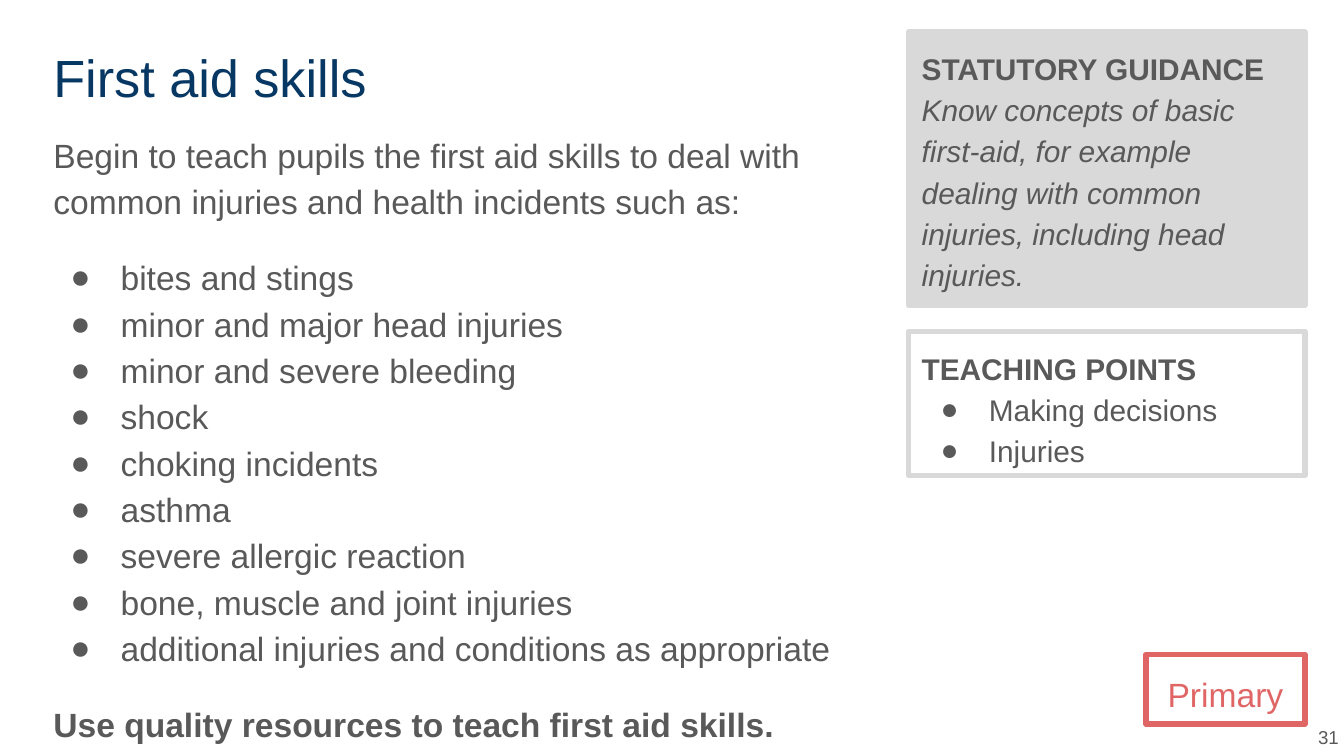
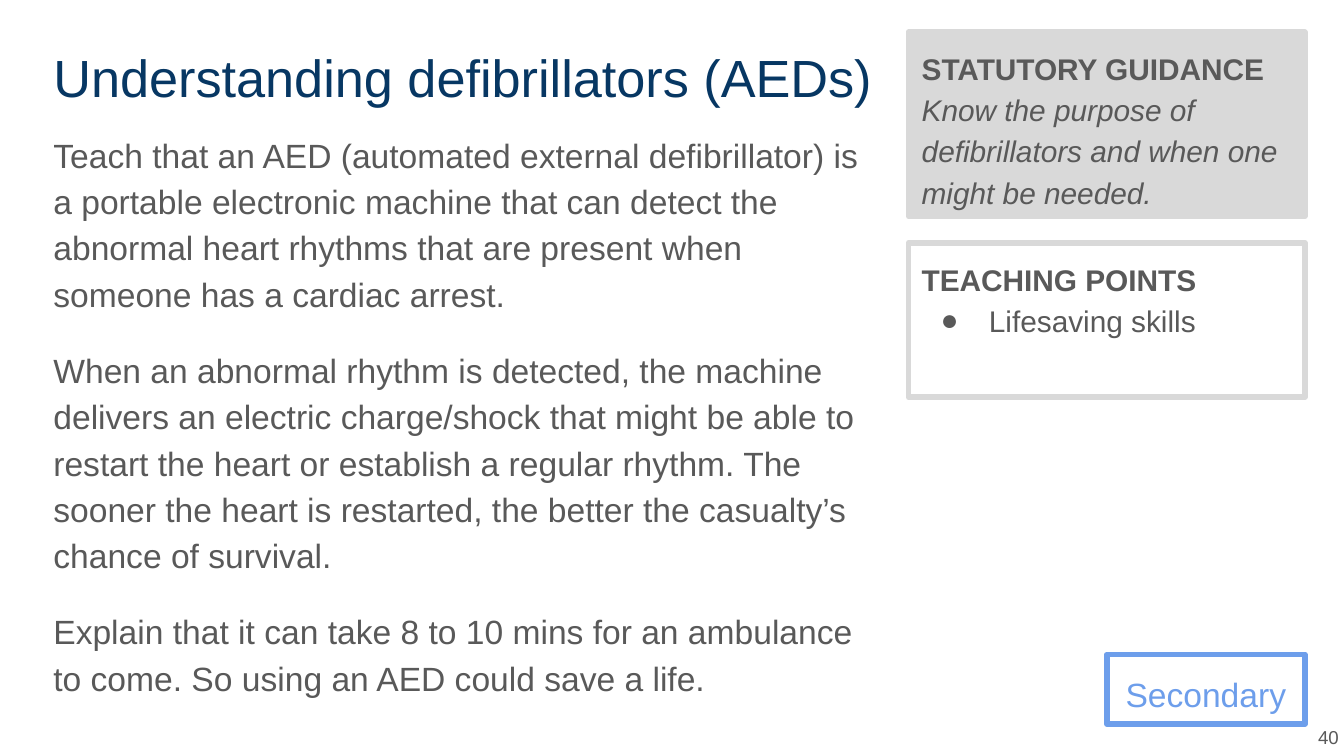
from lxml import etree
from pptx import Presentation
from pptx.dml.color import RGBColor
from pptx.enum.shapes import MSO_SHAPE
from pptx.enum.text import MSO_ANCHOR, PP_ALIGN
from pptx.oxml.ns import qn
from pptx.util import Cm, Pt

RECTANGLE = MSO_SHAPE.RECTANGLE
TOP, MIDDLE = MSO_ANCHOR.TOP, MSO_ANCHOR.MIDDLE
LEFT, CENTER, RIGHT = PP_ALIGN.LEFT, PP_ALIGN.CENTER, PP_ALIGN.RIGHT

FONT = "Arial"
NAVY, GREY, PALE = "073763", "595959", "D9D9D9"
RED, BLUE = "E06666", "6D9EEB"

SLIDES = [
    {
        "title": "First aid skills",
        "body": [
            ("text", "Begin to teach pupils the first aid skills to deal with "
                     "common injuries and health incidents such as:"),
            ("bullets", [
                "bites and stings",
                "minor and major head injuries",
                "minor and severe bleeding",
                "shock",
                "choking incidents",
                "asthma",
                "severe allergic reaction",
                "bone, muscle and joint injuries",
                "additional injuries and conditions as appropriate",
            ]),
            ("bold", "Use quality resources to teach first aid skills."),
        ],
        "guidance": "Know concepts of basic first-aid, for example dealing with "
                    "common injuries, including head injuries.",
        "guidance_height": 5.16,
        "points": ["Making decisions", "Injuries"],
        "points_height": 2.72,
        "stage": ("Primary", RED, 3.0),
        "number": "31",
    },
    {
        "title": "Understanding defibrillators (AEDs)",
        "body": [
            ("text", "Teach that an AED (automated external defibrillator) is a "
                     "portable electronic machine that can detect the abnormal heart "
                     "rhythms that are present when someone has a cardiac arrest."),
            ("text", "When an abnormal rhythm is detected, the machine delivers an "
                     "electric charge/shock that might be able to restart the heart or "
                     "establish a regular rhythm. The sooner the heart is restarted, "
                     "the better the casualty’s chance of survival."),
            ("text", "Explain that it can take 8 to 10 mins for an ambulance to come. "
                     "So using an AED could save a life."),
        ],
        "guidance": "Know the purpose of defibrillators and when one might be needed.",
        "guidance_height": 3.48,
        "points": ["Lifesaving skills"],
        "points_height": 2.92,
        "stage": ("Secondary", BLUE, 3.74),
        "number": "40",
    },
]

MARGIN, TOP_EDGE = 0.76, 0.61
PANEL_WIDTH, PANEL_RIGHT, PANEL_GAP = 7.49, 24.66, 0.5
PANEL_LEFT = PANEL_RIGHT - PANEL_WIDTH
TAG_TOP, TAG_HEIGHT = 12.37, 1.32
BULLET_MARGIN, BODY_HANG, POINT_HANG = 1.27, 0.95, 0.91


def rgb(color):
    return RGBColor.from_string(color)


def add_bullet(paragraph, hang, color):
    properties = paragraph._p.get_or_add_pPr()
    properties.set("marL", str(Cm(BULLET_MARGIN)))
    properties.set("indent", str(-Cm(hang)))
    bullet_color = etree.SubElement(properties, qn("a:buClr"))
    etree.SubElement(bullet_color, qn("a:srgbClr"), val=color)
    etree.SubElement(properties, qn("a:buFont"), typeface=FONT)
    etree.SubElement(properties, qn("a:buChar"), char="●")


def add_text(frame, text, size=18, color=GREY, bold=False, italic=False,
             align=LEFT, spacing=1.15, before=0, hang=None, heading=None):
    first = frame.paragraphs[0]
    paragraph = frame.add_paragraph() if first.runs else first
    if hang:
        add_bullet(paragraph, hang, color)
    paragraph.alignment = align
    paragraph.line_spacing = spacing
    paragraph.space_before = Pt(before)
    runs = [(text, bold, italic)]
    if heading:
        runs.insert(0, (heading, True, False))
    for index, (words, is_bold, is_italic) in enumerate(runs):
        if index:
            paragraph.add_line_break()
        run = paragraph.add_run()
        run.text = words
        run.font.name = FONT
        run.font.size = Pt(size)
        run.font.bold = is_bold
        run.font.italic = is_italic
        run.font.color.rgb = rgb(color)


def prepare_frame(shape, anchor=TOP):
    frame = shape.text_frame
    frame.word_wrap = True
    frame.vertical_anchor = anchor
    frame.margin_left = frame.margin_right = Cm(0.25)
    frame.margin_top = frame.margin_bottom = Cm(0.25)
    return frame


def add_box(slide, left, top, width, height, anchor=TOP):
    shape = slide.shapes.add_textbox(Cm(left), Cm(top), Cm(width), Cm(height))
    return prepare_frame(shape, anchor)


def add_panel(slide, left, top, width, height, line, fill=None):
    shape = slide.shapes.add_shape(RECTANGLE, Cm(left), Cm(top), Cm(width), Cm(height))
    shape.shadow.inherit = False
    if fill:
        shape.fill.solid()
        shape.fill.fore_color.rgb = rgb(fill)
    else:
        shape.fill.background()
    shape.line.color.rgb = rgb(line)
    shape.line.width = Pt(3)
    return prepare_frame(shape)


def add_body(slide, blocks):
    frame = add_box(slide, MARGIN, 2.18, 16.05, 11.56)
    for index, (kind, content) in enumerate(blocks):
        before = 16 if index else 0
        if kind == "bullets":
            for position, item in enumerate(content):
                add_text(frame, item, hang=BODY_HANG, before=0 if position else before)
        else:
            add_text(frame, content, bold=kind == "bold", before=before)


def add_side_panels(slide, content):
    height = content["guidance_height"]
    guidance = add_panel(slide, PANEL_LEFT, TOP_EDGE, PANEL_WIDTH, height, PALE, PALE)
    add_text(guidance, content["guidance"], size=16, italic=True,
             heading="STATUTORY GUIDANCE")
    points = add_panel(slide, PANEL_LEFT, TOP_EDGE + height + PANEL_GAP,
                       PANEL_WIDTH, content["points_height"], PALE)
    add_text(points, "TEACHING POINTS", size=16, bold=True)
    for point in content["points"]:
        add_text(points, point, size=16, hang=POINT_HANG)


def build_slide(presentation, content):
    slide = presentation.slides.add_slide(presentation.slide_layouts[6])
    title = add_box(slide, MARGIN, TOP_EDGE, 24.46, 1.6)
    add_text(title, content["title"], size=28, color=NAVY, spacing=1.0)
    add_body(slide, content["body"])
    add_side_panels(slide, content)
    stage, color, width = content["stage"]
    tag = add_panel(slide, PANEL_RIGHT - width, TAG_TOP, width, TAG_HEIGHT, color)
    add_text(tag, stage, color=color, align=CENTER)
    number = add_box(slide, 24.03, 13.39, 1.52, 1.09, MIDDLE)
    add_text(number, content["number"], size=10, align=RIGHT, spacing=1.0)


def main():
    presentation = Presentation()
    presentation.slide_width = Cm(25.4)
    presentation.slide_height = Cm(14.29)
    for content in SLIDES:
        build_slide(presentation, content)
    presentation.save("out.pptx")


if __name__ == "__main__":
    main()
